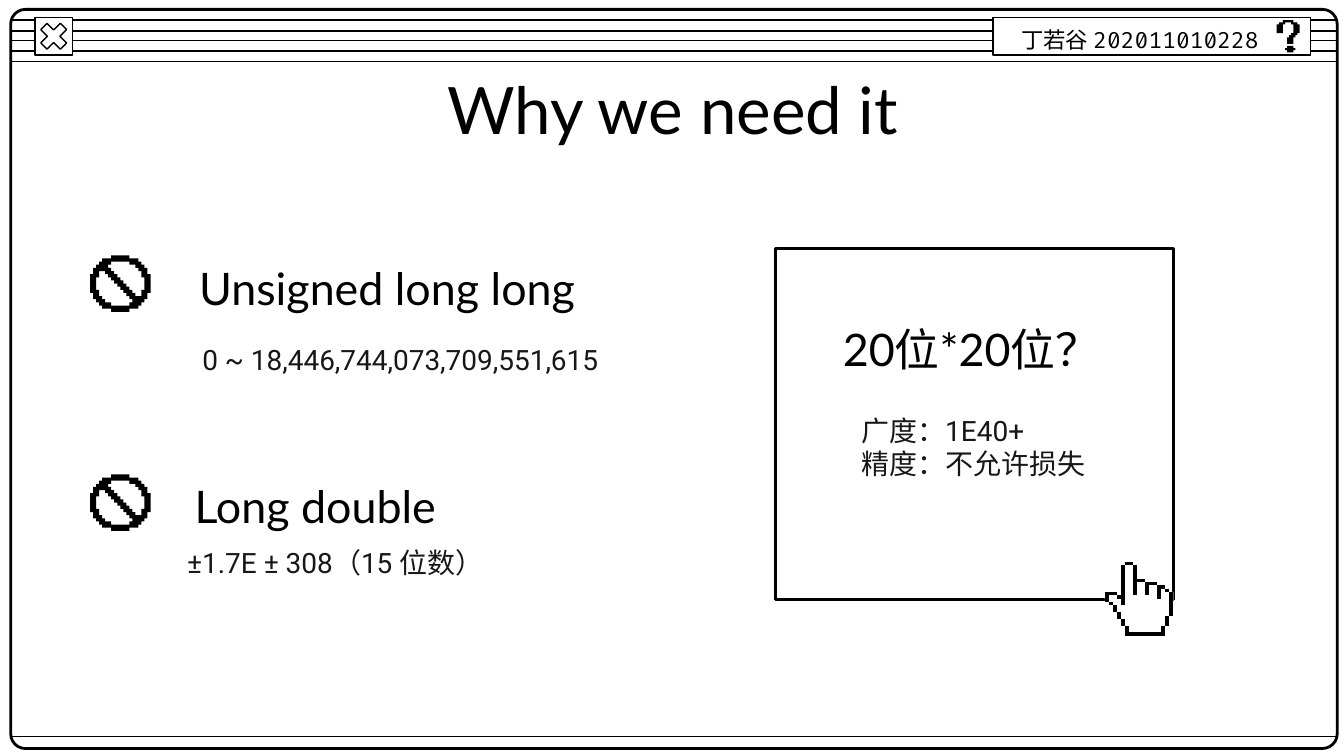
from lxml.etree import SubElement
from pptx import Presentation
from pptx.dml.color import RGBColor
from pptx.enum.shapes import MSO_CONNECTOR, MSO_SHAPE
from pptx.enum.text import MSO_ANCHOR, PP_ALIGN
from pptx.oxml.ns import qn
from pptx.util import Pt

PX = 9144
COLORS = {"ink": "000000", "paper": "FFFFFF", "body": "171717"}

QUESTION_HOOK = [(3, 0), (1, 1), (0, 2), (3, 6), (4, 2), (7, 1), (8, 2), (7, 6),
                 (6, 7), (5, 8), (8, 11), (9, 8), (10, 7), (11, 6), (10, 2), (8, 1)]
QUESTION_DOT = [(5, 12), (4, 13), (5, 14), (8, 15), (9, 14), (8, 13)]

BAN_RING = [(7, 0), (4, 1), (3, 2), (2, 3), (1, 4), (0, 6), (1, 12), (2, 14),
            (3, 15), (4, 16), (7, 17), (13, 18), (16, 17), (17, 16), (18, 15),
            (19, 14), (20, 12), (19, 6), (18, 4), (17, 3), (16, 2), (13, 1)]
BAN_UPPER_HOLE = ([(13, 2), (15, 3), (16, 4), (17, 5), (18, 7), (17, 11)]
                  + [(row + 2, row) for row in range(13, 3, -1)] + [(7, 3)])
BAN_LOWER_HOLE = ([(step, step) for step in range(5, 15)]
                  + [(13, 15), (7, 16), (5, 15), (4, 14), (3, 13), (2, 11), (3, 7)])

HAND_SKIN = [(5, 0), (4, 1), (3, 10), (0, 9), (1, 12), (2, 13), (3, 15), (4, 17),
             (5, 19), (15, 22), (16, 19), (17, 16), (16, 9), (15, 8), (13, 7),
             (10, 6), (8, 5), (7, 1)]
HAND_STROKES = [(4, 1, 1, 12), (5, 0, 2, 1), (7, 1, 1, 9), (8, 5, 2, 1),
                (10, 7, 1, 3), (10, 6, 3, 1), (13, 8, 1, 3), (13, 7, 2, 1),
                (15, 8, 1, 1), (16, 9, 1, 7), (15, 16, 1, 3), (14, 19, 1, 3),
                (5, 21, 9, 1), (3, 10, 1, 1), (0, 9, 3, 1), (0, 10, 1, 2),
                (1, 12, 1, 1), (2, 13, 1, 2), (3, 15, 1, 2), (4, 17, 1, 2),
                (5, 19, 1, 2)]


def staircase(steps):
    corners = []
    for (x, y), (_, next_y) in zip(steps, steps[1:] + steps[:1]):
        corners += [(x, y), (x, next_y)]
    return corners


class Deck:
    def __init__(self, width):
        self.presentation = Presentation()
        self.presentation.slide_width = width * PX
        self.presentation.slide_height = width * PX * 9 // 16
        self.slide = self.presentation.slides.add_slide(self.presentation.slide_layouts[6])
        self.slide.background.fill.solid()
        self.slide.background.fill.fore_color.rgb = self.color("paper")

    def color(self, name):
        return RGBColor.from_string(COLORS[name])

    def paint(self, shape, fill, weight):
        shape.shadow.inherit = False
        if fill:
            shape.fill.solid()
            shape.fill.fore_color.rgb = self.color(fill)
        else:
            shape.fill.background()
        if weight:
            shape.line.color.rgb = self.color("ink")
            shape.line.width = Pt(weight)
        else:
            shape.line.fill.background()

    def rule(self, left, right, y):
        line = self.slide.shapes.add_connector(
            MSO_CONNECTOR.STRAIGHT, left * PX, y * PX, right * PX, y * PX)
        line.line.color.rgb = self.color("ink")
        line.line.width = Pt(0.75)
        SubElement(line._element.spPr, qn("a:effectLst"))

    def box(self, preset, bounds, fill=None, weight=0.75, adjustment=None):
        shape = self.slide.shapes.add_shape(preset, *(side * PX for side in bounds))
        if adjustment is not None:
            shape.adjustments[0] = adjustment
        self.paint(shape, fill, weight)

    def pixel_art(self, bounds, grid, outlines, fill="ink"):
        left, top, width, height = (side * PX for side in bounds)
        columns, rows = grid
        loops = [staircase(outline) for outline in outlines]
        builder = self.slide.shapes.build_freeform(
            *loops[0][0], scale=(width / columns, height / rows))
        builder.add_line_segments(loops[0][1:], close=True)
        for loop in loops[1:]:
            builder.move_to(*loop[0])
            builder.add_line_segments(loop[1:], close=True)
        self.paint(builder.convert_to_shape(left, top), fill, None)

    def text(self, content, bounds, size, font, color="ink",
             align=PP_ALIGN.CENTER, spacing=None):
        frame = self.slide.shapes.add_textbox(*(side * PX for side in bounds)).text_frame
        frame.word_wrap = True
        frame.vertical_anchor = MSO_ANCHOR.MIDDLE
        frame.margin_left = frame.margin_right = 10 * PX
        frame.margin_top = frame.margin_bottom = 10 * PX
        frame.text = content
        for paragraph in frame.paragraphs:
            paragraph.alignment = align
            if spacing:
                paragraph.line_spacing = spacing
            for run in paragraph.runs:
                run.font.size = Pt(size)
                run.font.name = font
                run.font.color.rgb = self.color(color)

    def heading(self, content, bounds, size=24):
        self.text(content, bounds, size, "Lato")

    def detail(self, content, bounds, align=PP_ALIGN.CENTER):
        self.text(content, bounds, 15, "Roboto", "body", align)


def window_frame(deck):
    for y in (30, 23, 15, 46, 38):
        deck.rule(8, 995, y)
    deck.box(MSO_SHAPE.ROUNDED_RECTANGLE, (8, 7, 987, 550), weight=1.5, adjustment=0.02)
    for preset, adjustment in ((MSO_SHAPE.RECTANGLE, None), (MSO_SHAPE.MATH_MULTIPLY, 0.235)):
        deck.box(preset, (26, 13, 28, 28), "paper", adjustment=adjustment)
    deck.rule(8, 995, 548)
    deck.box(MSO_SHAPE.RECTANGLE, (739, 13, 236, 28), "paper")
    for outline in (QUESTION_DOT, QUESTION_HOOK):
        deck.pixel_art((950, 15, 17, 24), (11, 15), [outline])
    deck.text("丁若谷 202011010228", (750, 0, 201, 56), 12, "Fira Code",
              align=PP_ALIGN.LEFT, spacing=1.15)


def limits(deck):
    deck.heading("Why we need it", (79, 49, 843, 63), 35)
    deck.heading("Unsigned long long", (123, 185, 330, 58))
    deck.detail("0 ~ 18,446,744,073,709,551,615", (112, 231, 372, 73))
    deck.heading("Long double", (112, 347, 245, 58))
    deck.detail("±1.7E ± 308（15 位数）", (127, 382, 245, 73))


def requirement(deck):
    deck.heading("20位*20位？", (558, 230, 330, 58))
    deck.detail("广度：1E40+\n精度：不允许损失", (631, 296, 207, 73), PP_ALIGN.LEFT)


def icons(deck):
    for top in (190, 353):
        deck.pixel_art((67, top, 45, 42), (20, 18),
                       [BAN_RING, BAN_UPPER_HOLE, BAN_LOWER_HOLE])
    deck.box(MSO_SHAPE.RECTANGLE, (577, 185, 296, 261), weight=1.5)
    hand, hand_grid = (822, 418, 51, 55), (17, 22)
    deck.pixel_art(hand, hand_grid, [HAND_SKIN], "paper")
    for column, row, width, height in HAND_STROKES:
        deck.pixel_art(hand, hand_grid, [[(column, row), (column + width, row + height)]])


def main():
    deck = Deck(1000)
    window_frame(deck)
    limits(deck)
    requirement(deck)
    icons(deck)
    deck.presentation.save("out.pptx")


if __name__ == "__main__":
    main()
